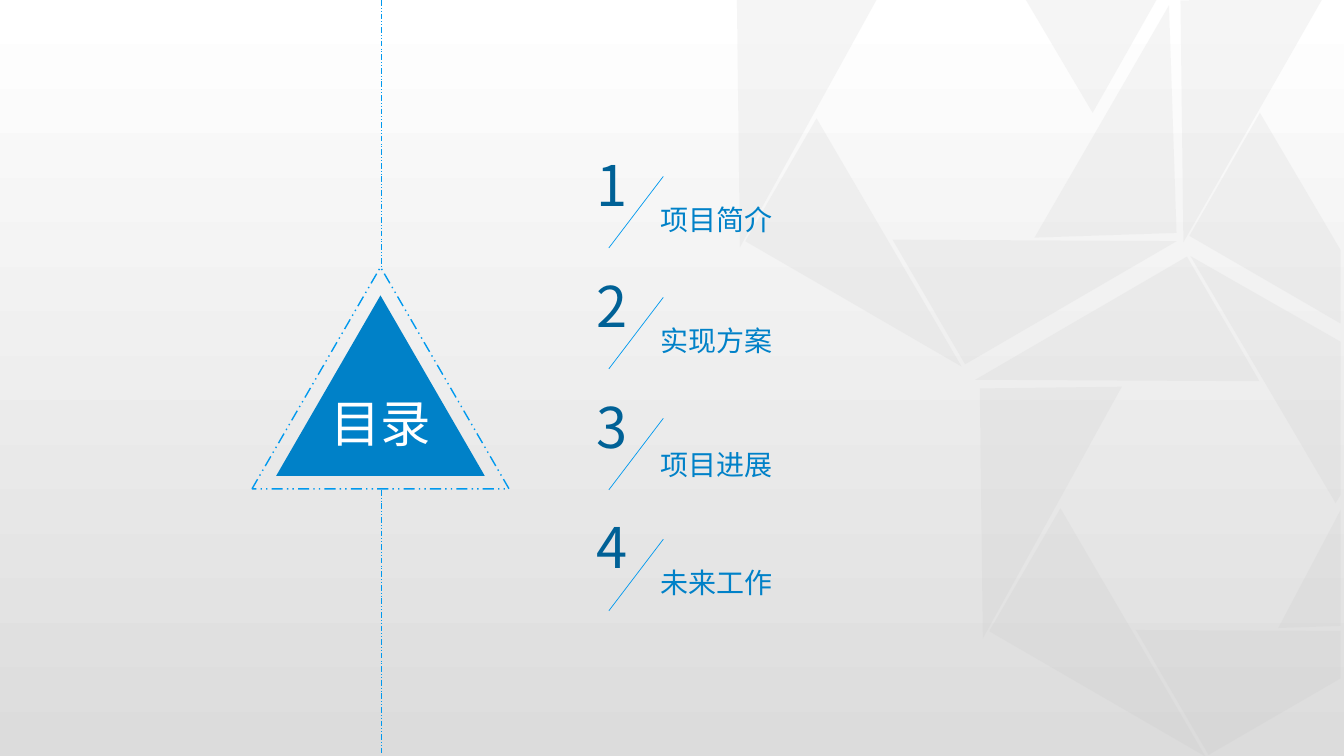
from dataclasses import dataclass

from lxml.etree import SubElement
from pptx import Presentation
from pptx.dml.color import RGBColor
from pptx.enum.dml import MSO_LINE
from pptx.enum.shapes import MSO_CONNECTOR, MSO_SHAPE
from pptx.enum.text import MSO_ANCHOR, MSO_AUTO_SIZE, PP_ALIGN
from pptx.oxml.ns import qn
from pptx.util import Pt


@dataclass(frozen=True)
class Theme:
    font: str = "Noto Sans CJK SC"
    white: RGBColor = RGBColor(0xFF, 0xFF, 0xFF)
    shade: RGBColor = RGBColor(0xDC, 0xDC, 0xDC)
    facet: RGBColor = RGBColor(0xBF, 0xBF, 0xBF)
    blue: RGBColor = RGBColor(0x00, 0x81, 0xC8)
    navy: RGBColor = RGBColor(0x00, 0x61, 0x96)
    stroke: RGBColor = RGBColor(0x00, 0x99, 0xEE)
    facet_alpha: int = 14
    title_size: int = 36
    number_size: int = 40
    label_size: int = 20
    thin: float = 0.5
    outline: float = 1


THEME = Theme()
SLIDE_WIDTH, SLIDE_HEIGHT = 960, 540
AXIS_X = 272.2
FIRST_ROW, ROW_PITCH = 103.7, 86.4

CHAPTERS = [
    ("项目简介", 141.1),
    ("实现方案", 227.5),
    ("项目进展", 316.1),
    ("未来工作", 400.3),
]

TRIANGLE_FACETS = [
    (710.6, 220.3, 175, 103, 149.8),
    (662.4, 315.4, 178.6, 101.5, 89.3),
    (720, 401, 178.6, 101.5, 30.1),
    (808.6, 35.3, 172.8, 101.5, 89.3),
    (488.9, 36, 178.6, 101.5, 89.3),
    (545.8, 122.4, 178.6, 101.5, 30.1),
    (651.6, 120.2, 175, 103, 329.8),
    (705.6, 36, 162.7, 101.5, 268.1),
]

CUT_FACETS = [
    [(811.4, 450), (957.6, 450.7), (957.6, 484.6), (863.3, 539.3)],
    [(957.6, 364.3), (957.6, 447.1), (913, 448.6)],
    [(850.3, 182.9), (957.6, 244.1), (957.6, 353.5), (954, 359.3)],
    [(900, 80.6), (957.6, 178.6), (957.6, 231.1), (849.6, 168.5)],
    [(731.5, -2.2), (827.3, -2.2), (780.5, 80.6)],
]


def paint_background(slide):
    fill = slide.background.fill
    fill.gradient()
    fill.gradient_angle = 90
    for stop, color in zip(fill.gradient_stops, (THEME.shade, THEME.white)):
        stop.color.rgb = color


def style_facet(facet):
    facet.shadow.inherit = False
    facet.fill.solid()
    facet.fill.fore_color.rgb = THEME.facet
    facet.line.fill.background()
    color = facet.element.spPr.find(qn("a:solidFill"))[0]
    SubElement(color, qn("a:alpha"), val=str(THEME.facet_alpha * 1000))


def add_triangle_facet(slide, left, top, width, height, rotation):
    facet = slide.shapes.add_shape(
        MSO_SHAPE.RIGHT_TRIANGLE, Pt(left), Pt(top), Pt(width), Pt(height))
    facet.rotation = rotation
    style_facet(facet)


def add_cut_facet(slide, corners):
    start, *others = [(Pt(x), Pt(y)) for x, y in corners]
    outline = slide.shapes.build_freeform(*start)
    outline.add_line_segments(others, close=True)
    style_facet(outline.convert_to_shape())


def add_triangle(slide, left, top, width, height):
    triangle = slide.shapes.add_shape(
        MSO_SHAPE.ISOSCELES_TRIANGLE, Pt(left), Pt(top), Pt(width), Pt(height))
    triangle.shadow.inherit = False
    return triangle


def add_line(slide, start, end, dash=None):
    line = slide.shapes.add_connector(
        MSO_CONNECTOR.STRAIGHT, *map(Pt, (*start, *end)))
    line.line.color.rgb = THEME.stroke
    line.line.width = Pt(THEME.thin)
    if dash:
        line.line.dash_style = dash
    SubElement(line.element.spPr, qn("a:effectLst"))


def write(frame, text, size, color):
    paragraph = frame.paragraphs[0]
    paragraph.text = text
    paragraph.font.size = Pt(size)
    paragraph.font.name = THEME.font
    paragraph.font.color.rgb = color
    defaults = paragraph._p.get_or_add_pPr().find(qn("a:defRPr"))
    SubElement(defaults, qn("a:ea"), typeface=THEME.font)
    return paragraph


def add_text(slide, left, top, width, height, text, size, color):
    box = slide.shapes.add_textbox(Pt(left), Pt(top), Pt(width), Pt(height))
    box.text_frame.word_wrap = True
    write(box.text_frame, text, size, color)


def add_emblem(slide):
    core = add_triangle(slide, 197.3, 211, 149, 128.9)
    core.fill.solid()
    core.fill.fore_color.rgb = THEME.blue
    core.line.fill.background()

    rim = add_triangle(slide, 180, 190.8, 183.6, 158.4)
    rim.fill.background()
    rim.line.color.rgb = THEME.stroke
    rim.line.width = Pt(THEME.outline)
    rim.line.dash_style = MSO_LINE.DASH_DOT_DOT

    for top, bottom in ((0, 190.8), (349.9, SLIDE_HEIGHT)):
        add_line(slide, (AXIS_X, top), (AXIS_X, bottom), MSO_LINE.DASH_DOT_DOT)


def place_title(slide, text):
    title = slide.shapes.title
    title.left, title.top, title.width, title.height = map(
        Pt, (231.8, 275.4, 80, 64.4))
    frame = title.text_frame
    frame.margin_left = frame.margin_top = frame.margin_right = 0
    frame.margin_bottom = Pt(11.5)
    frame.vertical_anchor = MSO_ANCHOR.MIDDLE
    frame.auto_size = MSO_AUTO_SIZE.NONE
    write(frame, text, THEME.title_size, THEME.white).alignment = PP_ALIGN.CENTER
    title.element.getparent().append(title.element)


def add_chapter(slide, number, label, label_top):
    top = FIRST_ROW + (number - 1) * ROW_PITCH
    add_text(slide, 464.5, label_top, 359.3, 31.7,
             label, THEME.label_size, THEME.blue)
    add_line(slide, (473.8, top + 22.3), (434.9, top + 73.4))
    add_text(slide, 419, top, 40, 55.4,
             str(number), THEME.number_size, THEME.navy)


def main():
    deck = Presentation()
    deck.slide_width, deck.slide_height = Pt(SLIDE_WIDTH), Pt(SLIDE_HEIGHT)
    slide = deck.slides.add_slide(deck.slide_layouts.get_by_name("Title Only"))

    paint_background(slide)
    for facet in TRIANGLE_FACETS:
        add_triangle_facet(slide, *facet)
    for corners in CUT_FACETS:
        add_cut_facet(slide, corners)

    add_emblem(slide)
    place_title(slide, "目录")
    for number, (label, label_top) in enumerate(CHAPTERS, 1):
        add_chapter(slide, number, label, label_top)

    deck.save("out.pptx")


if __name__ == "__main__":
    main()
